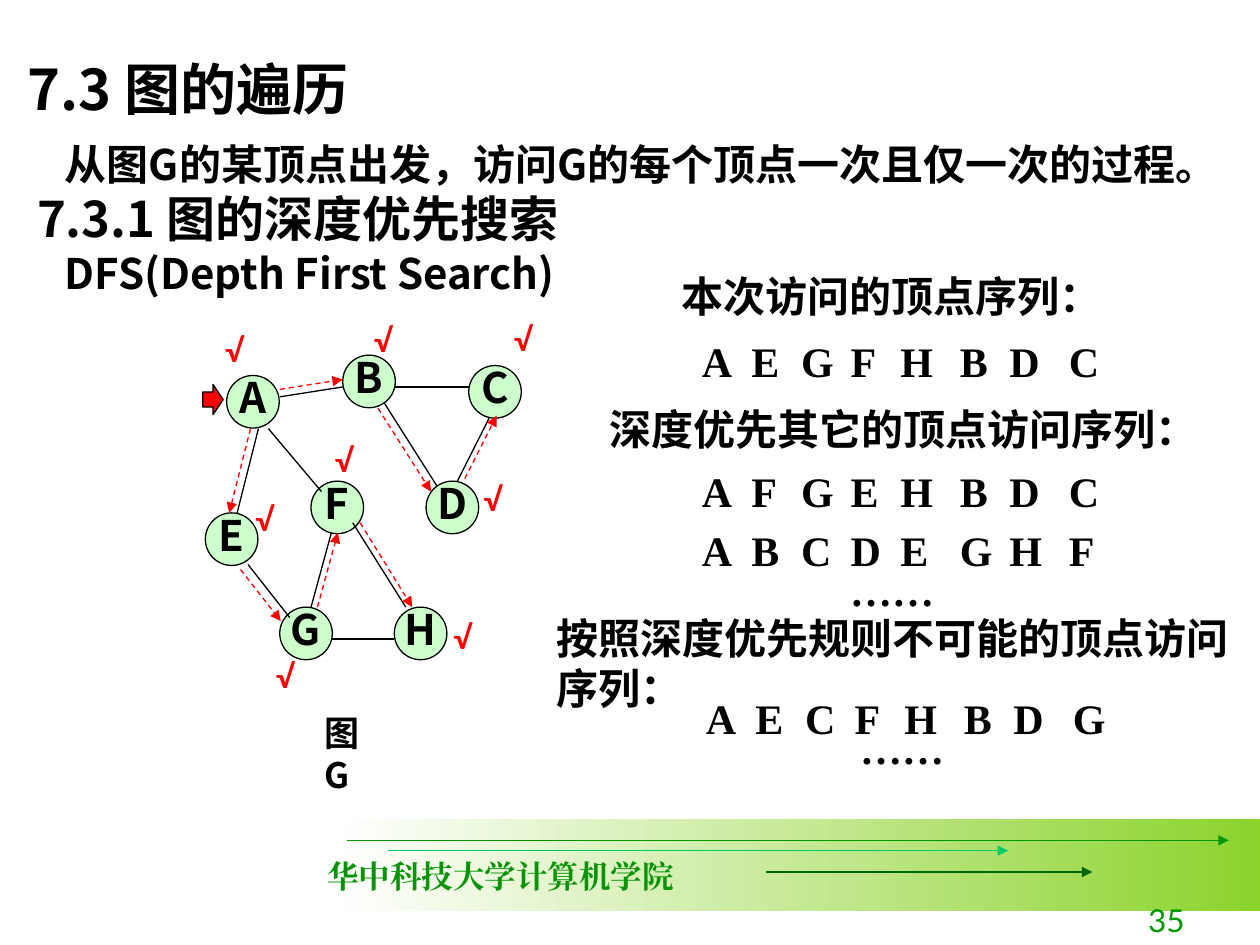
"""Build the slide on depth-first search of a graph."""
from lxml import etree
from pptx import Presentation
from pptx.dml.color import RGBColor
from pptx.enum.dml import MSO_LINE
from pptx.enum.shapes import MSO_CONNECTOR, MSO_SHAPE
from pptx.enum.text import MSO_ANCHOR, PP_ALIGN
from pptx.oxml.ns import qn
from pptx.util import Cm, Pt

STRAIGHT = MSO_CONNECTOR.STRAIGHT
DASH = MSO_LINE.DASH
TOP, MIDDLE, BOTTOM = MSO_ANCHOR.TOP, MSO_ANCHOR.MIDDLE, MSO_ANCHOR.BOTTOM
LEFT, CENTER, RIGHT = PP_ALIGN.LEFT, PP_ALIGN.CENTER, PP_ALIGN.RIGHT
SANS, HAN, SERIF = "Lato", "Noto Sans CJK SC", "Times New Roman"
COLORS = {
    "black": "000000", "white": "FFFFFF", "red": "FF0000", "node": "CCFFCC",
    "lime": "8CD32D", "green": "009900", "mint": "00CC66", "forest": "006600",
    "school": "069406",
}
COLORS = {name: RGBColor.from_string(value) for name, value in COLORS.items()}


def write(shape, lines, size, font, color="black", bold=True, align=LEFT,
          anchor=TOP, wrap=True, spacing=None):
    """Fill a shape with (text, size, indent) lines or with one plain string."""
    frame = shape.text_frame
    frame.word_wrap, frame.vertical_anchor = wrap, anchor
    if isinstance(lines, str):
        lines = [(lines, size, 0)]
    for index, (text, points, indent) in enumerate(lines):
        paragraph = frame.add_paragraph() if index else frame.paragraphs[0]
        paragraph.alignment = align
        paragraph.line_spacing = spacing or Pt(1.2 * points)
        if indent:
            paragraph._p.get_or_add_pPr().set("marL", str(Cm(indent)))
        run = paragraph.add_run()
        run.text = text
        values = {"name": font, "size": Pt(points), "bold": bold}
        for name, value in values.items():
            setattr(run.font, name, value)
        run.font.color.rgb = COLORS[color]
        east_asian = etree.SubElement(run._r.get_or_add_rPr(), qn("a:ea"))
        east_asian.set("typeface", SANS if font == HAN else font)


def draw_line(shapes, ends, color="black", arrow=False, dash=None):
    """Draw a thin straight line, with an arrowhead at its end if wanted."""
    connector = shapes.add_connector(STRAIGHT, *[Cm(value) for value in ends])
    connector.line.color.rgb = COLORS[color]
    connector.line.width = Pt(0.75)
    if dash:
        connector.line.dash_style = dash
    if arrow:
        tail = etree.SubElement(connector.line._get_or_add_ln(), qn("a:tailEnd"))
        tail.set("type", "triangle")
    etree.SubElement(connector._element.spPr, qn("a:effectLst"))


presentation = Presentation()
presentation.slide_width, presentation.slide_height = Cm(25.4), Cm(19.05)
slide = presentation.slides.add_slide(presentation.slide_layouts[5])
shapes = slide.shapes

band = shapes.add_shape(MSO_SHAPE.RECTANGLE, Cm(6.78), Cm(16.51), Cm(18.62), Cm(1.85))
band.shadow.inherit = False
band.line.fill.background()
band.fill.gradient()
band.fill.gradient_angle = 0
for stop, position, color in zip(band.fill.gradient_stops, (0, 1), ("white", "lime")):
    stop.position = position
    stop.color.rgb = COLORS[color]

for color, ends in {
    "green": (6.99, 16.94, 24.77, 16.94),
    "mint": (7.82, 17.15, 20.32, 17.15),
    "forest": (15.44, 17.58, 22.02, 17.58),
}.items():
    draw_line(shapes, ends, color, arrow=True)

title = shapes.title
for name, value in {"left": 0.3, "top": 0.97, "width": 24.5, "height": 1.65}.items():
    setattr(title, name, Cm(value))
write(title, "7.3 图的遍历", 32, HAN)

introduction = shapes.add_textbox(Cm(0.3), Cm(2.67), Cm(25.1), Cm(3.5))
introduction.text_frame.margin_right = 0
write(introduction, [
    ("从图G的某顶点出发，访问G的每个顶点一次且仅一次的过程。", 24, 0.76),
    ("7.3.1 图的深度优先搜索", 28, 0.2),
    ("DFS(Depth First Search)", 24, 0.76),
], 24, HAN)

nodes = {
    "A": (4.57, 7.57), "B": (6.91, 7.16), "C": (9.45, 7.37), "D": (8.59, 9.7),
    "E": (4.14, 10.34), "F": (6.27, 9.7), "G": (5.64, 12.24), "H": (7.95, 12.24),
}
for letter, (left, top) in nodes.items():
    node = shapes.add_shape(MSO_SHAPE.OVAL, Cm(left), Cm(top), Cm(1.06), Cm(1.06))
    node.shadow.inherit = False
    node.fill.solid()
    node.fill.fore_color.rgb = COLORS["node"]
    node.line.color.rgb = COLORS["black"]
    node.line.width = Pt(0.75)
    node.text_frame.margin_top = node.text_frame.margin_bottom = 0
    write(node, letter, 24, HAN, align=CENTER, anchor=MIDDLE, wrap=False, spacing=0.8)

edges = [
    (9.22, 9.7, 9.86, 8.43), (9.45, 7.8, 7.95, 7.8), (8.81, 9.8, 7.75, 8.13),
    (5.41, 8.64, 6.48, 9.91), (5.64, 8, 6.91, 7.8), (6.68, 12.88, 7.95, 12.88),
    (8.18, 12.24, 7.11, 10.54), (6.27, 12.24, 6.68, 10.74),
    (5.21, 8.64, 4.78, 10.34), (5, 11.38, 5.84, 12.45),
]
for ends in edges:
    draw_line(shapes, ends)

visits = [
    (5.05, 8.64, 4.62, 10.34), (4.85, 11.48, 5.66, 12.52),
    (6.4, 12.24, 6.81, 10.74), (7.26, 10.54, 8.31, 12.24),
    (5.64, 7.85, 6.91, 7.65), (7.62, 8.23, 8.69, 9.91), (9.37, 9.65, 10.01, 8.38),
]
for ends in visits:
    draw_line(shapes, ends, "red", arrow=True, dash=DASH)

ticks = [
    (4.29, 6.55), (7.29, 6.35), (10.11, 6.32), (9.5, 9.55),
    (4.9, 9.96), (6.5, 8.76), (5.31, 13.13), (8.89, 12.34),
]
for left, top in ticks:
    tick = shapes.add_textbox(Cm(left), Cm(top), Cm(1), Cm(1.02))
    write(tick, "√", 18, SANS, "red")

start = shapes.add_shape(MSO_SHAPE.RIGHT_ARROW, Cm(4.09), Cm(7.75), Cm(0.41), Cm(0.61))
start.shadow.inherit = False
start.fill.solid()
start.fill.fore_color.rgb = COLORS["red"]
start.line.color.rgb = COLORS["black"]
start.line.width = Pt(0.75)

labels = [
    ("图G", 6.3, 14.22, 1.57, 1.95, 20, HAN),
    ("本次访问的顶点序列：", 13.49, 5.33, 9.6, 1.3, 24, SANS),
    ("深度优先其它的顶点访问序列：", 12.04, 8, 12.5, 1.28, 24, SANS),
    ("按照深度优先规则不可能的顶点访问序列：", 10.97, 12.22, 14.27, 2.31, 24, SANS),
    ("……", 16.89, 11.25, 3.4, 1.3, 24, SERIF),
    ("……", 17.09, 14.45, 3.4, 1.3, 24, SERIF),
]
for text, left, top, width, height, size, font in labels:
    label = shapes.add_textbox(Cm(left), Cm(top), Cm(width), Cm(height))
    write(label, text, size, font)

columns = (0, 1, 2, 3, 4, 5.2, 6.2, 7.4)
sequences = [
    ("AEGFHBDC", 13.9, 6.63), ("AFGEHBDC", 13.9, 9.25),
    ("ABCDEGHF", 13.9, 10.44), ("AECFHBDG", 13.98, 13.84),
]
for letters, left, top in sequences:
    for letter, offset in zip(letters, columns):
        vertex = shapes.add_textbox(Cm(left + offset), Cm(top), Cm(1.2), Cm(1.29))
        write(vertex, letter, 24, SERIF)

school = shapes.add_textbox(Cm(6.35), Cm(17.15), Cm(7.5), Cm(1.02))
write(school, "华中科技大学计算机学院", 18, SERIF, "school", wrap=False)
number = shapes.add_textbox(Cm(18.85), Cm(17.78), Cm(5.28), Cm(1.27))
write(number, "35", 18, SANS, "green", bold=False, align=RIGHT, anchor=BOTTOM)

presentation.save("out.pptx")
